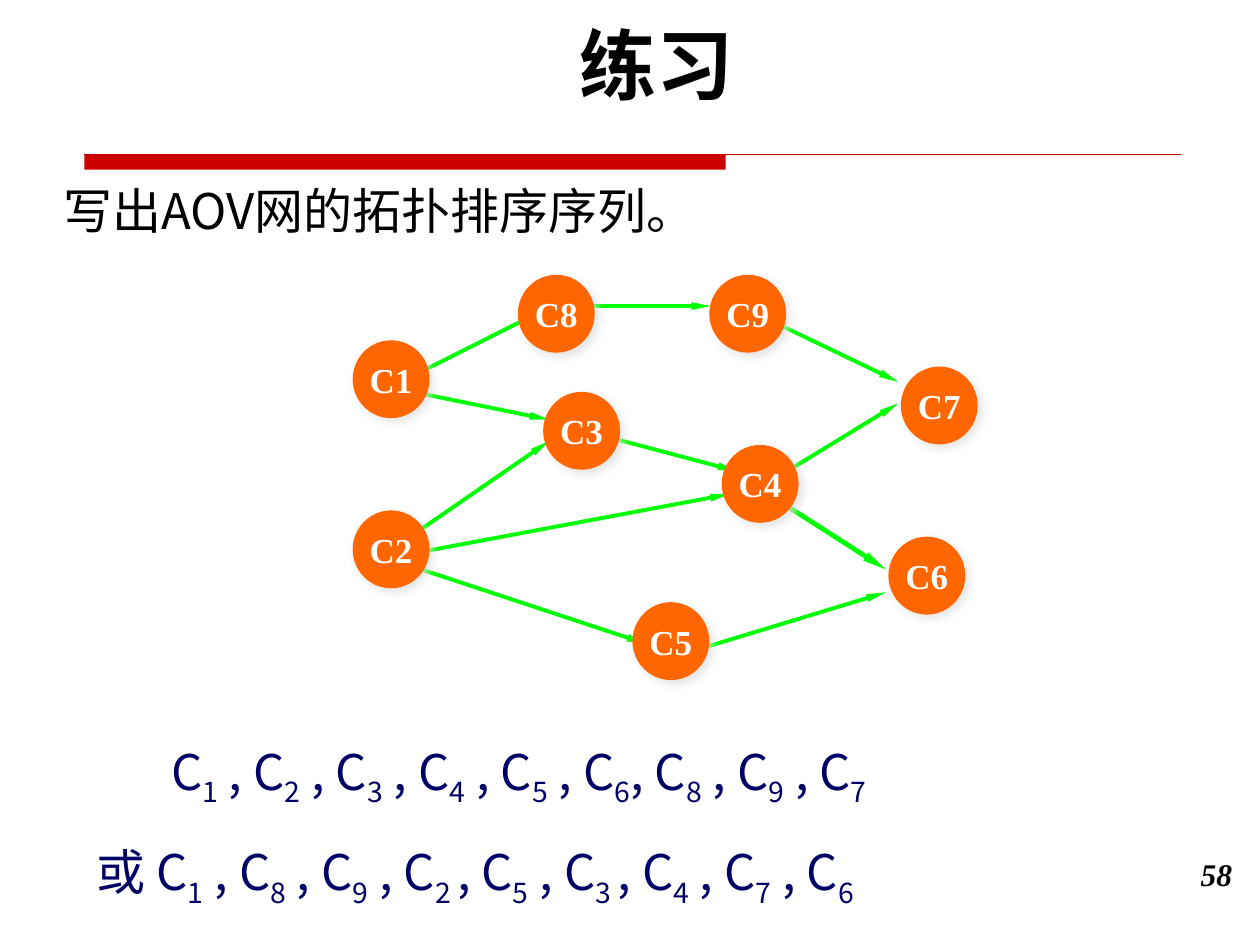
import pptx
import pptx.dml.color
import pptx.enum.shapes
import pptx.enum.text
import pptx.oxml
import pptx.oxml.ns
import pptx.util
from lxml import etree

Cm, Pt = pptx.util.Cm, pptx.util.Pt
ALIGN = pptx.enum.text.PP_ALIGN
ANCHOR = pptx.enum.text.MSO_ANCHOR
SHAPE = pptx.enum.shapes.MSO_SHAPE
STRAIGHT = pptx.enum.shapes.MSO_CONNECTOR.STRAIGHT
qn = pptx.oxml.ns.qn

RED, GREEN, ORANGE, NAVY = "CC0000", "00FF00", "FF6600", "000066"
SERIF, SANS = "Times New Roman", "Noto Sans CJK SC"
SHADOW = (
    f'<a:effectLst {pptx.oxml.ns.nsdecls("a")}>'
    '<a:outerShdw blurRad="63500" dist="38100" dir="2700000">'
    '<a:srgbClr val="DDDDDD"><a:alpha val="75000"/></a:srgbClr>'
    '</a:outerShdw></a:effectLst>'
)


def rgb(value):
    """Return the colour for a hex string."""
    return pptx.dml.color.RGBColor.from_string(value)


def style(p, size, name, color, bold=False):
    """Set the font of a whole paragraph."""
    p.font.size, p.font.name, p.font.bold = Pt(size), name, bold
    p.font.color.rgb = rgb(color)


prs = pptx.Presentation()
prs.slide_width, prs.slide_height = Cm(25.4), Cm(19.05)
s = prs.slides.add_slide(prs.slide_layouts[6])

# Rule under the title: thick bar and thin line
bar = s.shapes.add_shape(SHAPE.RECTANGLE, Cm(1.7), Cm(3.12), Cm(12.93), Cm(0.3))
bar.shadow.inherit = False
bar.fill.solid()
bar.fill.fore_color.rgb = rgb(RED)
bar.line.fill.background()

# Lines: from x, from y, to x, to y, colour, width, arrow
lines = [(1.7, 3.12, 23.8, 3.12, RED, 0.75, False)]
edges = [
    (15.49, 9.96, 17.86, 11.48),   # C4 to C6
    (7.95, 11.3, 13.03, 12.98),    # C2 to C5
    (8.2, 10.87, 11.07, 8.89),     # C2 to C3
    (8.08, 7.85, 11.07, 8.46),     # C1 to C3
    (8.08, 7.7, 10.82, 6.32),      # C1 to C8
    (11.58, 6.17, 14.33, 6.17),    # C8 to C9
    (11.99, 8.74, 14.86, 9.5),     # C3 to C4
    (8.2, 11.18, 14.71, 9.96),     # C2 to C4
    (15.24, 6.32, 18.11, 7.7),     # C9 to C7
    (15.62, 9.65, 18.11, 8.13),    # C4 to C7
    (13.94, 13.13, 17.86, 11.94),  # C5 to C6
]
for i, edge in enumerate(edges):
    lines.append((*edge, GREEN, 2.75 if i == 0 else 2.25, True))

for x1, y1, x2, y2, color, width, arrow in lines:
    line = s.shapes.add_connector(STRAIGHT, Cm(x1), Cm(y1), Cm(x2), Cm(y2))
    line.line.color.rgb = rgb(color)
    line.line.width = Pt(width)
    spPr = line._element.spPr
    if arrow:
        etree.SubElement(spPr.find(qn("a:ln")), qn("a:tailEnd"),
                         type="triangle", w="sm", len="lg")
    etree.SubElement(spPr, qn("a:effectLst"))

# Vertices of the graph
nodes = {
    "C8": (10.44, 5.54), "C3": (10.95, 7.9), "C5": (12.75, 12.14),
    "C4": (14.55, 8.97), "C9": (14.3, 5.54), "C6": (17.91, 10.82),
    "C7": (18.16, 7.39), "C1": (7.11, 6.86), "C2": (7.11, 10.29),
}
for label, (x, y) in nodes.items():
    sp = s.shapes.add_shape(SHAPE.OVAL, Cm(x), Cm(y), Cm(1.55), Cm(1.57))
    sp.fill.solid()
    sp.fill.fore_color.rgb = rgb(ORANGE)
    sp.line.fill.background()
    sp._element.spPr.append(pptx.oxml.parse_xml(SHADOW))
    tf = sp.text_frame
    tf.word_wrap = False
    tf.vertical_anchor = ANCHOR.MIDDLE
    p = tf.paragraphs[0]
    p.text, p.alignment = label, ALIGN.CENTER
    style(p, 20, SERIF, "FFFFFF", True)

# Title, question and page number
texts = [
    ("练习", 1.7, 0.43, 23.06, 2.11, 44, "Lato", True, ALIGN.CENTER, 0.9),
    ("写出AOV网的拓扑排序序列。", 0.79, 3.35, 22.81, 1.6, 28, SANS, False, ALIGN.LEFT, 1.5),
    ("58", 22.5, 17.12, 2.59, 1.27, 18, SERIF, True, ALIGN.RIGHT, 1),
]
for text, x, y, w, h, size, name, bold, align, spacing in texts:
    tf = s.shapes.add_textbox(Cm(x), Cm(y), Cm(w), Cm(h)).text_frame
    tf.word_wrap = True
    p = tf.paragraphs[0]
    p.text, p.alignment, p.line_spacing = text, align, spacing
    style(p, size, name, "000000", bold)
    if name == SANS:
        tf.vertical_anchor = ANCHOR.BOTTOM
        tf.margin_left = Cm(0.5)
    p.font.italic = text == "58"

# Two valid orders; every second part is a subscript
orders = [
    ("C|1| , C|2| , C|3| , C|4| , C|5| , C|6|, C|8| , C|9| , C|7", 1.5),
    ("或 C|1| , C|8| , C|9| , C|2 |, C|5| , C|3 |, C|4| , C|7| , C|6", 0),
]
tf = s.shapes.add_textbox(Cm(1.7), Cm(14.15), Cm(23.06), Cm(3.91)).text_frame
tf.word_wrap = True
for i, (order, indent) in enumerate(orders):
    p = tf.add_paragraph() if i else tf.paragraphs[0]
    p.line_spacing = 1.5
    style(p, 28, SANS, NAVY)
    p._p.get_or_add_pPr().set("marL", str(Cm(indent)))
    for j, part in enumerate(order.split("|")):
        r = p.add_run()
        r.text = part
        if j % 2:
            r._r.get_or_add_rPr().set("baseline", "-25000")

prs.save("out.pptx")
